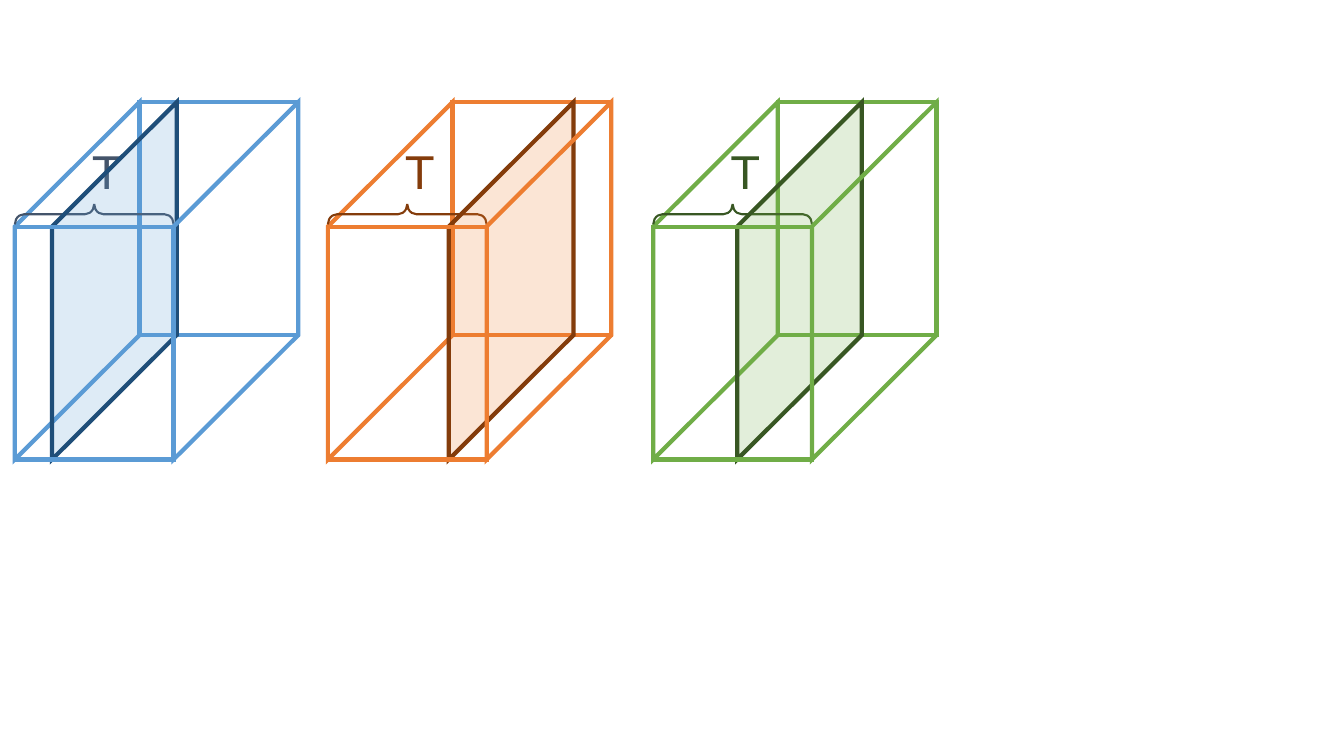
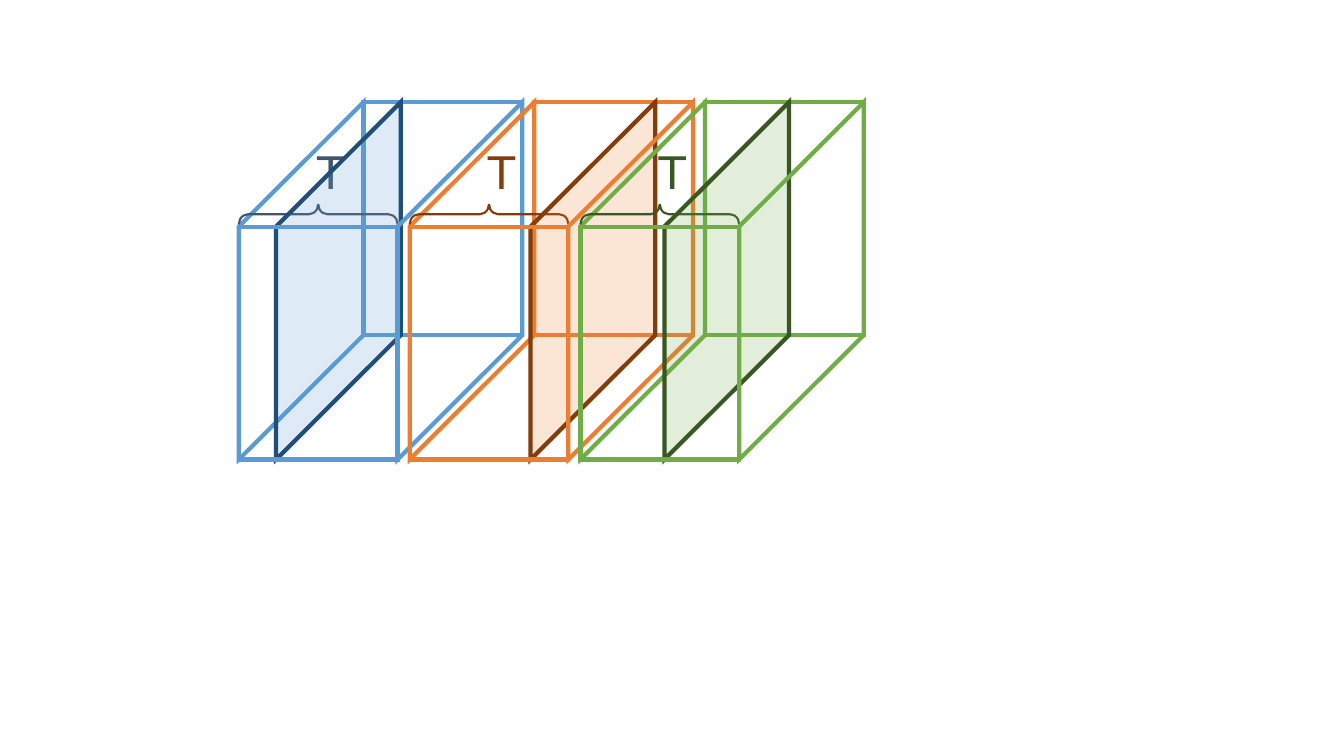
from lxml.etree import SubElement
from pptx import Presentation
from pptx.dml.color import RGBColor
from pptx.enum.shapes import MSO_SHAPE
from pptx.enum.text import MSO_AUTO_SIZE, PP_ALIGN
from pptx.oxml.ns import qn
from pptx.util import Pt

WIDE, HIGH, DEEP = 113.4, 166.2, 89
BACK, FRONT = 73, 162
LONG = HIGH + DEEP
BLUE = ("5B9BD5", "1F4E79", "44546A", 26.6)
ORANGE = ("ED7D31", "843C0B", "843C0B", 86.4)
GREEN = ("70AD47", "385723", "385723", 60)
PAGES = [(10.6, 234.2, 466.6), (170.6, 292.6, 414.6)]


def draw(group, kind, box, line, size=3, fill=None, turn=False, bend=()):
    left, top, wide, high = box
    if turn:
        left, top = left + (wide - high) / 2, top + (high - wide) / 2
        wide, high = high, wide
    shape = group.shapes.add_shape(kind, Pt(left), Pt(top), Pt(wide), Pt(high))
    shape.shadow.inherit = False
    for spot, value in enumerate(bend):
        shape.adjustments[spot] = value
    if turn:
        shape.rotation = 270
    if kind == MSO_SHAPE.PARALLELOGRAM:
        shape.element.spPr.get_or_add_xfrm().set("flipV", "1")
    shape.line.color.rgb = RGBColor.from_string(line)
    shape.line.width = Pt(size)
    SubElement(shape.line._get_or_add_ln(), qn("a:miter"), lim="800000")
    if fill:
        shape.fill.solid()
        shape.fill.fore_color.rgb = RGBColor.from_string(fill)
        tint = shape.element.spPr.find(qn("a:solidFill"))[0]
        SubElement(tint, qn("a:alpha"), val="20000")
    else:
        shape.fill.background()


def write(group, text, box, size=32, color="000000", font="DejaVu Sans"):
    label = group.shapes.add_textbox(*[Pt(part) for part in box])
    frame = label.text_frame
    frame.word_wrap = True
    frame.auto_size = MSO_AUTO_SIZE.SHAPE_TO_FIT_TEXT
    line = frame.paragraphs[0]
    line.alignment = PP_ALIGN.CENTER
    run = line.add_run()
    run.text = text
    run.font.size = Pt(size)
    run.font.name = font
    run.font.color.rgb = RGBColor.from_string(color)


deck = Presentation()
deck.slide_width, deck.slide_height = Pt(960), Pt(540)

for lefts in PAGES:
    slide = deck.slides.add_slide(deck.slide_layouts[6])
    for left, (edge, dark, ink, shift) in zip(lefts, (BLUE, ORANGE, GREEN)):
        cube = slide.shapes.add_group_shape()
        side = {"kind": MSO_SHAPE.PARALLELOGRAM, "turn": True, "bend": [0.998]}
        draw(cube, MSO_SHAPE.RECTANGLE, (left + DEEP, BACK, WIDE, HIGH), edge)
        draw(cube, box=(left, BACK, DEEP, LONG), line=edge, **side)
        draw(cube, MSO_SHAPE.RIGHT_BRACE, (left, 145.8, WIDE, 14.4), ink,
             size=1.5, turn=True, bend=[0.456, 0.5])
        write(cube, "T", (left + 49.3, 100, 13.7, 46), color=ink)
        draw(cube, box=(left + shift, BACK, DEEP, LONG), line=dark, fill=edge, **side)
        draw(cube, MSO_SHAPE.RECTANGLE, (left, FRONT, WIDE, HIGH), edge)
        draw(cube, box=(left + WIDE, BACK, DEEP, LONG), line=edge, **side)

deck.save("out.pptx")
